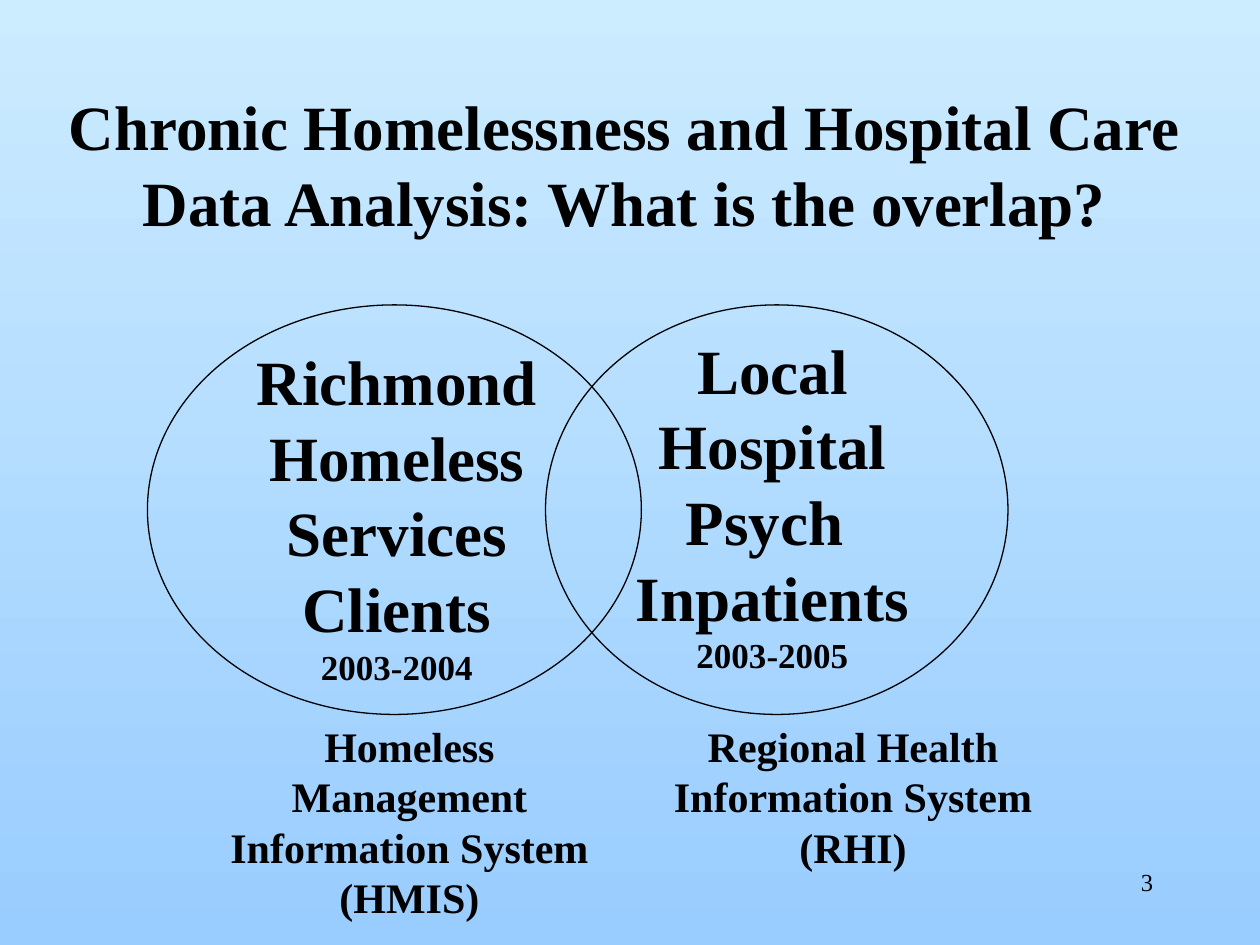
import pptx
import pptx.dml.color
import pptx.enum.shapes
import pptx.enum.text
import pptx.util

Inches = pptx.util.Inches
ALIGN = pptx.enum.text.PP_ALIGN
ANCHOR = pptx.enum.text.MSO_ANCHOR
AUTO_SIZE = pptx.enum.text.MSO_AUTO_SIZE

BLACK = pptx.dml.color.RGBColor(0x00, 0x00, 0x00)
SKY_TOP = pptx.dml.color.RGBColor(0xCC, 0xEC, 0xFF)
SKY_BOTTOM = pptx.dml.color.RGBColor(0x99, 0xCC, 0xFF)

FONT_NAME = "Times New Roman"
HEADING_SIZE, SOURCE_SIZE, YEARS_SIZE, NUMBER_SIZE = 36, 24, 20, 14


def set_background(slide):
    fill = slide.background.fill
    fill.gradient()
    fill.gradient_angle = 270  # counter-clockwise, so top to bottom
    for stop, color in zip(fill.gradient_stops, (SKY_TOP, SKY_BOTTOM)):
        stop.color.rgb = color


def add_text(slide, box, lines, bold=True, align=ALIGN.CENTER, **frame_format):
    """Place (text, size) lines in a box, one paragraph each."""
    frame = slide.shapes.add_textbox(*map(Inches, box)).text_frame
    for name, value in {"word_wrap": True, **frame_format}.items():
        setattr(frame, name, value)
    for index, (text, size) in enumerate(lines):
        paragraph = frame.add_paragraph() if index else frame.paragraphs[0]
        paragraph.alignment = align
        run = paragraph.add_run()
        run.text = text
        run.font.color.rgb = BLACK
        font_format = {"name": FONT_NAME, "size": pptx.util.Pt(size), "bold": bold}
        for name, value in font_format.items():
            setattr(run.font, name, value)


def add_title(slide, box):
    title = "Chronic Homelessness and Hospital Care Data Analysis: What is the overlap?"
    add_text(slide, box, [(title, HEADING_SIZE)], vertical_anchor=ANCHOR.MIDDLE)


def add_circle(slide, box):
    circle = slide.shapes.add_shape(
        pptx.enum.shapes.MSO_SHAPE.OVAL, *map(Inches, box))
    circle.shadow.inherit = False
    circle.fill.background()
    circle.line.color.rgb = BLACK
    circle.line.width = pptx.util.Pt(0.75)


def add_group_label(slide, box, names, years):
    lines = [(name, HEADING_SIZE) for name in names] + [(years, YEARS_SIZE)]
    add_text(slide, box, lines, auto_size=AUTO_SIZE.SHAPE_TO_FIT_TEXT)


def add_source_label(slide, box, owner, acronym):
    lines = [(text, SOURCE_SIZE) for text in (owner, "Information System", acronym)]
    add_text(slide, box, lines, word_wrap=False,
             auto_size=AUTO_SIZE.SHAPE_TO_FIT_TEXT)


def add_venn_diagram(slide, box):
    left, top, width, height = box
    homeless_width, hospital_width = 3.92, 3.67

    # Overlapping circles, flush with the two sides of the box
    add_circle(slide, (left + width - hospital_width, top, hospital_width, height))
    add_circle(slide, (left, top, homeless_width, height))

    # Names of the two groups
    add_group_label(slide, (left + 0.66, top + 0.25, 2.64, 2.84),
                    ["Richmond Homeless", "Services", "Clients"], "2003-2004")
    add_group_label(slide, (left + 3.75, top + 0.16, 2.42, 2.84),
                    ["Local Hospital", "Psych ", "Inpatients"], "2003-2005")

    # Data sources under the circles
    bottom = top + height
    add_source_label(slide, (left + 0.33, bottom, 3.5, 1.3),
                     "Homeless Management", "(HMIS)")
    add_source_label(slide, (left + 4.08, bottom, 3.04, 1.3),
                     "Regional Health", "(RHI)")


def add_slide_number(slide, box):
    add_text(slide, box, [("3", NUMBER_SIZE)], bold=False, align=ALIGN.RIGHT)


def main():
    presentation = pptx.Presentation()
    presentation.slide_width = Inches(10)
    presentation.slide_height = Inches(7.5)
    slide = presentation.slides.add_slide(presentation.slide_layouts[6])
    set_background(slide)
    add_title(slide, (0.33, 0.67, 9.25, 1.25))
    add_venn_diagram(slide, (1.17, 2.42, 6.83, 3.25))
    add_slide_number(slide, (7.17, 6.83, 2.08, 0.5))
    presentation.save("out.pptx")


if __name__ == "__main__":
    main()
